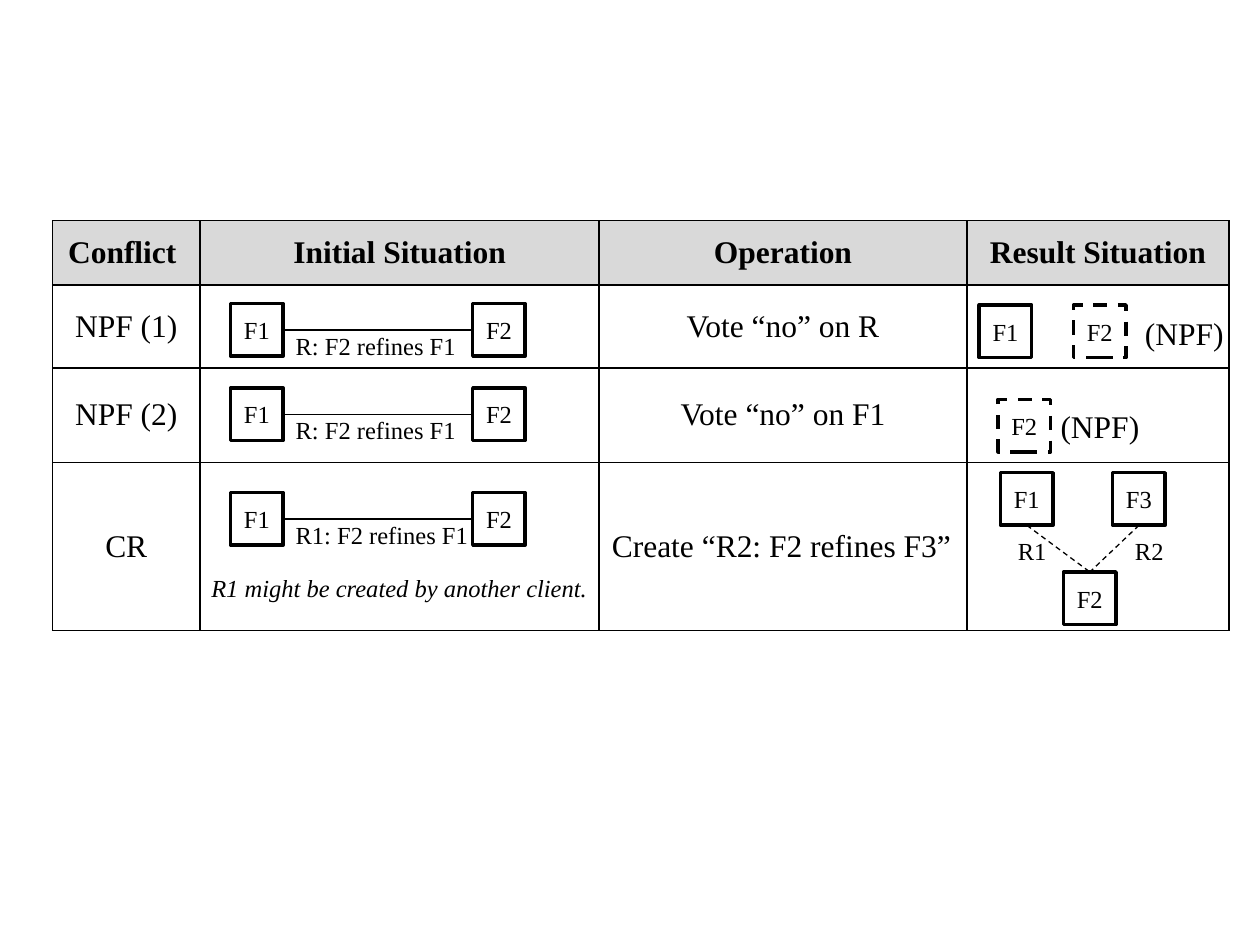
import dataclasses
import typing

import lxml.etree
import pptx
import pptx.dml.color
import pptx.enum.dml
import pptx.enum.shapes
import pptx.enum.text
import pptx.oxml.ns
import pptx.util

Cm = pptx.util.Cm
Pt = pptx.util.Pt
Align = pptx.enum.text.PP_ALIGN
Anchor = pptx.enum.text.MSO_ANCHOR
qn = pptx.oxml.ns.qn

FONT = "Times New Roman"
BLACK, WHITE, GRAY = "000000", "FFFFFF", "D9D9D9"
BOX_SIDE = 1.06
TOP, LEFT, RIGHT, BOTTOM = 0, 1, 3, 2
COLUMN_WIDTHS = (2.97, 8.05, 7.41, 5.29)
ROW_HEIGHTS = (1.3, 1.67, 1.9, 3.39)
ROWS = (
    ("Conflict ", "Initial Situation", "Operation", "Result Situation"),
    ("NPF (1)", "", "Vote “no” on R", ""),
    ("NPF (2)", "", "Vote “no” on F1", ""),
    ("CR", "", "Create “R2: F2 refines F3”", ""),
)


@dataclasses.dataclass
class Feature:
    name: str
    left: float
    top: float
    dashed: bool = False


@dataclasses.dataclass
class Label:
    text: str
    left: float
    top: float
    width: float
    size: int = 14
    italic: bool = False


@dataclasses.dataclass
class Refinement:
    text: str
    top: float
    label_width: float


REFINEMENTS = (
    Refinement("R: F2 refines F1", 6.12, 3.76),
    Refinement("R: F2 refines F1", 7.82, 3.76),
    Refinement("R1: F2 refines F1", 9.93, 4.01),
)
NPF_FEATURES = (
    Feature("F1", 19.74, 6.15),
    Feature("F2", 21.64, 6.15, dashed=True),
    Feature("F2", 20.12, 8.05, dashed=True),
)
LABELS = (
    Label("(NPF)", 22.83, 6.2, 2.11, size=18),
    Label("(NPF)", 21.13, 8.08, 2.11, size=18),
    Label("R1 might be created by another client.", 4.01, 11.43, 8.23, italic=True),
    Label("R1", 20.27, 10.69, 1.09),
    Label("R2", 22.63, 10.69, 1.09),
)


def color(value: str) -> pptx.dml.color.RGBColor:
    return pptx.dml.color.RGBColor.from_string(value)


def add_text(para: typing.Any, text: str, size: int, bold: bool = False, italic: bool = False) -> None:
    span = para.add_run()
    span.text = text
    span.font.name = FONT
    span.font.size = Pt(size)
    span.font.bold = bold
    span.font.italic = italic
    span.font.color.rgb = color(BLACK)


def draw_borders(cell: typing.Any) -> None:
    properties = cell._tc.get_or_add_tcPr()
    for side in ("a:lnL", "a:lnR", "a:lnT", "a:lnB"):
        border = lxml.etree.SubElement(properties, qn(side), w=str(Pt(1)))
        fill = lxml.etree.SubElement(border, qn("a:solidFill"))
        lxml.etree.SubElement(fill, qn("a:srgbClr"), val=BLACK)


def draw_table(page: typing.Any) -> None:
    frame = page.shapes.add_table(
        len(ROWS), len(COLUMN_WIDTHS), Cm(1.06), Cm(4.45), Cm(sum(COLUMN_WIDTHS)), Cm(sum(ROW_HEIGHTS))
    )
    table = frame.table
    table.first_row = table.horz_banding = False
    for column, width in zip(table.columns, COLUMN_WIDTHS):
        column.width = Cm(width)
    for index, (row, height, texts) in enumerate(zip(table.rows, ROW_HEIGHTS, ROWS)):
        row.height = Cm(height)
        header = index == 0
        for cell, text in zip(row.cells, texts):
            draw_borders(cell)
            cell.vertical_anchor = Anchor.MIDDLE
            if header:
                cell.fill.solid()
                cell.fill.fore_color.rgb = color(GRAY)
            else:
                cell.fill.background()
            if text:
                para = cell.text_frame.paragraphs[0]
                para.alignment = Align.LEFT if text.startswith("Create") else Align.CENTER
                add_text(para, text, 18, bold=header)


def draw_feature(page: typing.Any, feature: Feature) -> typing.Any:
    box = page.shapes.add_shape(
        pptx.enum.shapes.MSO_SHAPE.RECTANGLE, Cm(feature.left), Cm(feature.top), Cm(BOX_SIDE), Cm(BOX_SIDE)
    )
    box.shadow.inherit = False
    box.fill.solid()
    box.fill.fore_color.rgb = color(WHITE)
    box.line.color.rgb = color(BLACK)
    box.line.width = Pt(2)
    if feature.dashed:
        box.line.dash_style = pptx.enum.dml.MSO_LINE.DASH
    box.text_frame.word_wrap = False
    box.text_frame.vertical_anchor = Anchor.MIDDLE
    para = box.text_frame.paragraphs[0]
    para.alignment = Align.CENTER
    add_text(para, feature.name, 14)
    return box


def draw_label(page: typing.Any, label: Label) -> None:
    height = 1.02 if label.size == 18 else 0.86
    box = page.shapes.add_textbox(Cm(label.left), Cm(label.top), Cm(label.width), Cm(height))
    box.text_frame.word_wrap = False
    box.text_frame.auto_size = pptx.enum.text.MSO_AUTO_SIZE.SHAPE_TO_FIT_TEXT
    add_text(box.text_frame.paragraphs[0], label.text, label.size, italic=label.italic)


def join(
    page: typing.Any, start: typing.Any, start_side: int, end: typing.Any, end_side: int, dashed: bool = False
) -> None:
    line = page.shapes.add_connector(pptx.enum.shapes.MSO_CONNECTOR.STRAIGHT, 0, 0, 0, 0)
    line.begin_connect(start, start_side)
    line.end_connect(end, end_side)
    line.line.color.rgb = color(BLACK)
    line.line.width = Pt(0.75)
    if dashed:
        line.line.dash_style = pptx.enum.dml.MSO_LINE.DASH
    lxml.etree.SubElement(line._element.spPr, qn("a:effectLst"))


def draw_refinement(page: typing.Any, refinement: Refinement) -> None:
    parent = draw_feature(page, Feature("F1", 4.65, refinement.top))
    child = draw_feature(page, Feature("F2", 9.53, refinement.top))
    join(page, parent, RIGHT, child, LEFT)
    draw_label(page, Label(refinement.text, 5.71, refinement.top + 0.43, refinement.label_width))


def draw_conflicting_refinements(page: typing.Any) -> None:
    child = draw_feature(page, Feature("F2", 21.44, 11.53))
    for name, left in (("F1", 20.17), ("F3", 22.43)):
        parent = draw_feature(page, Feature(name, left, 9.53))
        join(page, parent, BOTTOM, child, TOP, dashed=True)


def main() -> None:
    deck = pptx.Presentation()
    deck.slide_width, deck.slide_height = Cm(25.4), Cm(19.05)
    page = deck.slides.add_slide(deck.slide_layouts[6])
    draw_table(page)
    for refinement in REFINEMENTS:
        draw_refinement(page, refinement)
    for feature in NPF_FEATURES:
        draw_feature(page, feature)
    draw_conflicting_refinements(page)
    for label in LABELS:
        draw_label(page, label)
    deck.save("out.pptx")


if __name__ == "__main__":
    main()
